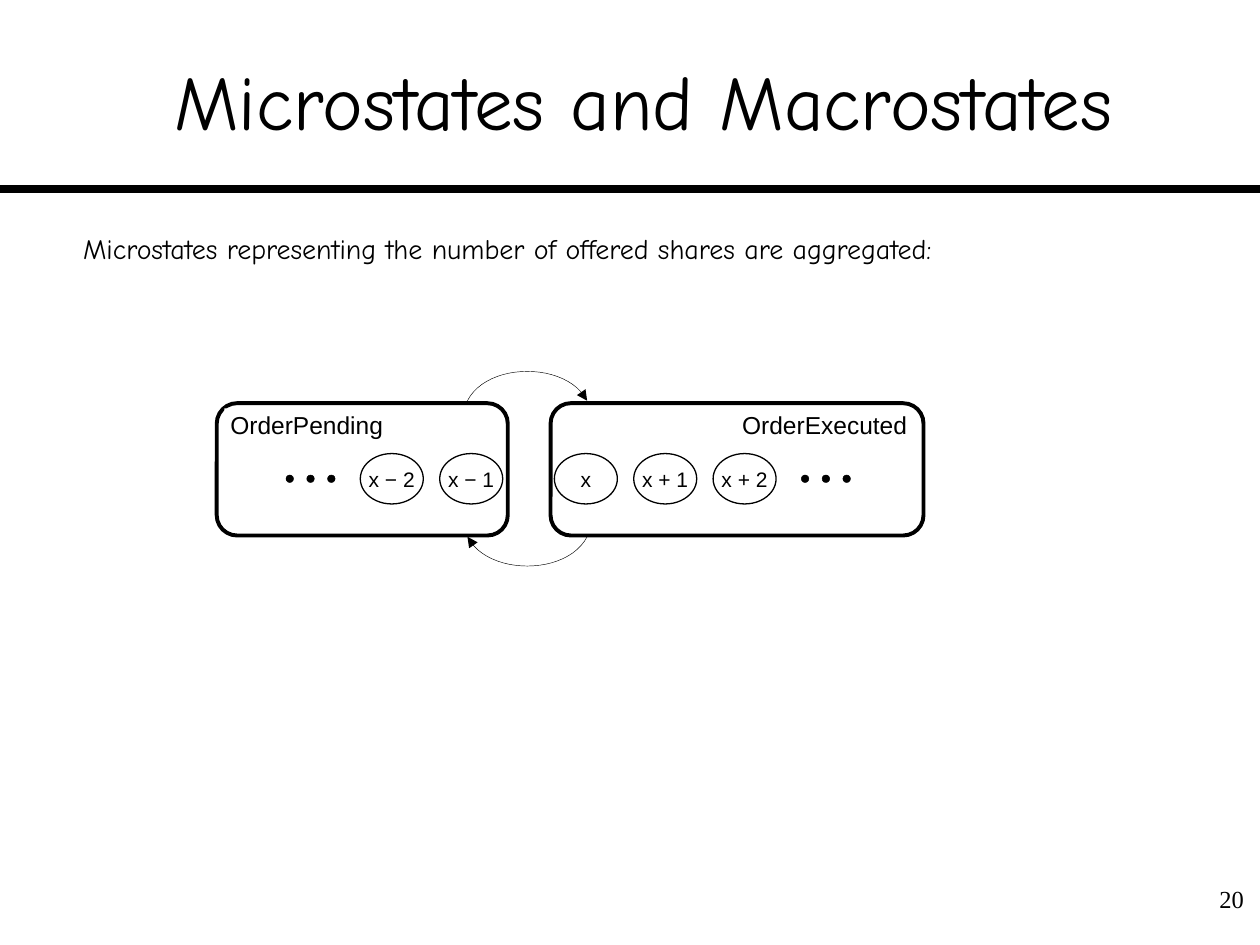
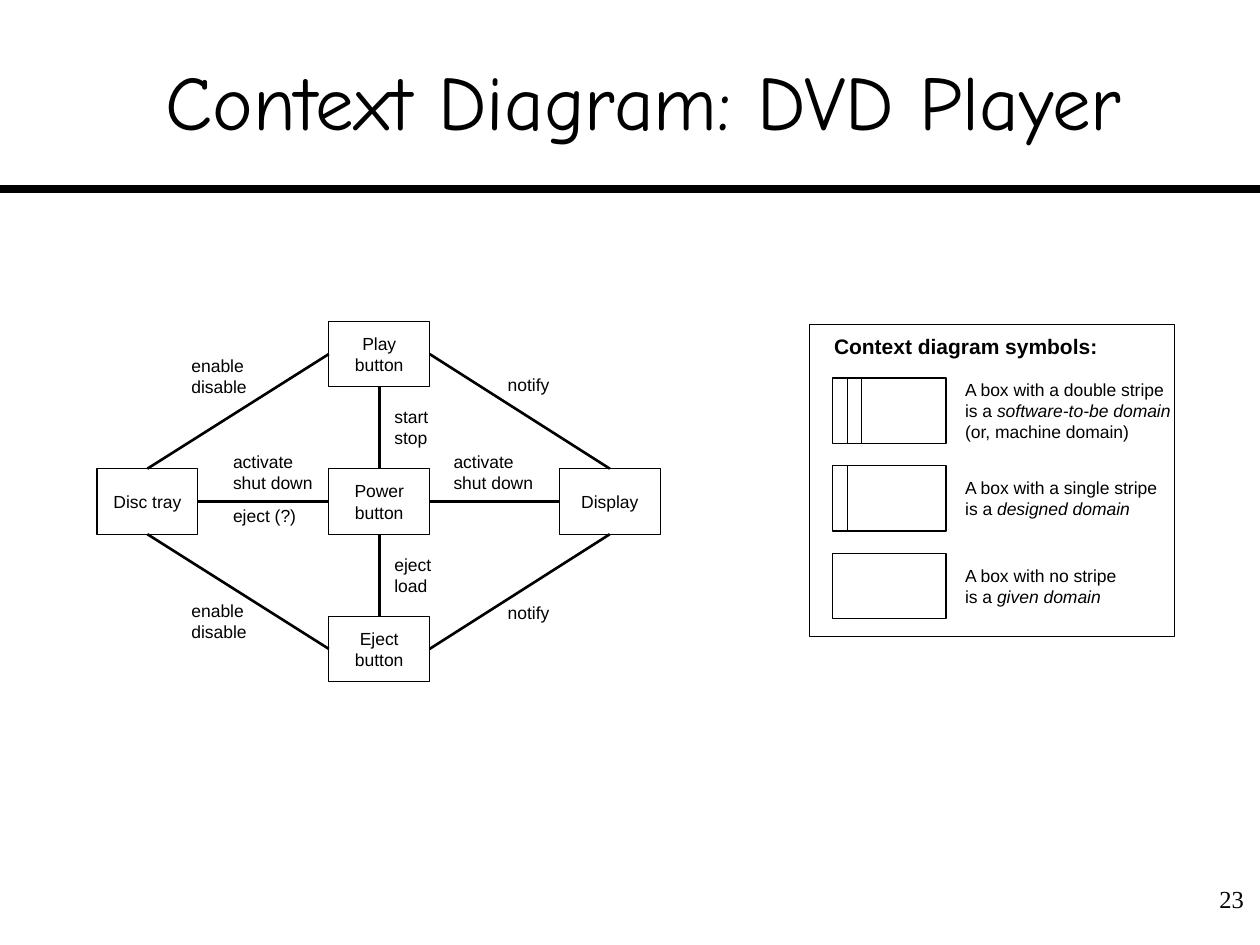
from lxml import etree
from pptx import Presentation
from pptx.dml.color import RGBColor
from pptx.enum.shapes import MSO_CONNECTOR as LINE, MSO_SHAPE as SHAPE
from pptx.enum.text import MSO_ANCHOR as ANCHOR, PP_ALIGN as ALIGN
from pptx.oxml.ns import qn
from pptx.util import Inches, Pt

COLORS = {"ink": "000000", "paper": "FFFFFF"}
TITLE_FONT, DIAGRAM_FONT, NUMBER_FONT = "Comic Neue", "Arial", "Times New Roman"
PADDED, TIGHT, LABEL = (0.1, 0.05), (0.01, 0), (0.05, 0.01)
TOP, LEFT, BOTTOM, RIGHT = range(4)


def color(name):
    return RGBColor.from_string(COLORS[name])


def inches(*lengths):
    return [Inches(length) for length in lengths]


def write(shape, paragraphs, size, font=DIAGRAM_FONT, align=ALIGN.LEFT,
          anchor=ANCHOR.TOP, margins=TIGHT, wrap=False):
    """Each paragraph is a list of (text, style), style being "", "bold" or "italic"."""
    frame = shape.text_frame
    frame.word_wrap = wrap
    frame.vertical_anchor = anchor
    frame.margin_left = frame.margin_right = Inches(margins[0])
    frame.margin_top = frame.margin_bottom = Inches(margins[1])
    for index, runs in enumerate(paragraphs):
        paragraph = frame.add_paragraph() if index else frame.paragraphs[0]
        paragraph.alignment = align
        for text, style in runs:
            run = paragraph.add_run()
            run.text = text
            run.font.name, run.font.size = font, Pt(size)
            run.font.bold, run.font.italic = style == "bold", style == "italic"
            run.font.color.rgb = color("ink")


def plain(*lines):
    return [[(line, "")] for line in lines]


def paint(shape, fill, weight):
    shape.shadow.inherit = False
    if fill:
        shape.fill.solid()
        shape.fill.fore_color.rgb = color(fill)
    else:
        shape.fill.background()
    if weight:
        shape.line.color.rgb = color("ink")
        shape.line.width = Pt(weight)
    else:
        shape.line.fill.background()


def add_outline(slide, kind, box, fill="paper", weight=0.75):
    shape = slide.shapes.add_shape(kind, *inches(*box))
    paint(shape, fill, weight)
    return shape


def add_text(slide, box, paragraphs, size, **options):
    write(slide.shapes.add_textbox(*inches(*box)), paragraphs, size, **options)


def add_line(slide, start, end, weight):
    line = slide.shapes.add_connector(LINE.STRAIGHT, *inches(*start, *end))
    line.line.color.rgb = color("ink")
    line.line.width = Pt(weight)
    etree.SubElement(line._element.spPr, qn("a:effectLst"))
    return line


def add_slide(deck, title, number):
    """Start a slide with the shared title, rule and page number."""
    slide = deck.slides.add_slide(deck.slide_layouts[5])
    add_line(slide, (0, 1.5), (10, 1.5), 4.5)
    heading = slide.shapes.title
    heading.left, heading.top, heading.width, heading.height = inches(0.42, 0.17, 9.38, 1.25)
    write(heading, plain(title), 44, font=TITLE_FONT, align=ALIGN.CENTER,
          anchor=ANCHOR.MIDDLE, margins=(0, 0.05), wrap=True)
    add_text(slide, (9.35, 6.97, 0.62, 0.5), plain(number), 14, font=NUMBER_FONT,
             align=ALIGN.RIGHT, margins=PADDED, wrap=True)
    return slide


# Microstates

def add_transition(slide, controls, steps=24):
    """Draw a cubic curve through its four control points, arrow at the end."""
    points = []
    for step in range(steps + 1):
        t = step / steps
        weights = ((1 - t) ** 3, 3 * t * (1 - t) ** 2, 3 * t ** 2 * (1 - t), t ** 3)
        points.append(inches(*(sum(w * c[axis] for w, c in zip(weights, controls))
                               for axis in (0, 1))))
    builder = slide.shapes.build_freeform(*points[0])
    builder.add_line_segments(points[1:], close=False)
    curve = builder.convert_to_shape()
    paint(curve, None, 0.25)
    etree.SubElement(curve.line._get_or_add_ln(), qn("a:tailEnd"), type="triangle")


def add_macrostate(slide, left, width, first_state, states, first_dot):
    top, height = 3.2, 1.05
    border = add_outline(slide, SHAPE.ROUNDED_RECTANGLE, (left, top, width, height), None, 2.25)
    border.adjustments[0] = 0.154
    for index, name in enumerate(states):
        state = add_outline(slide, SHAPE.OVAL, (first_state + 0.63 * index, 3.6, 0.5, 0.4))
        write(state, plain(name), 12, align=ALIGN.CENTER, anchor=ANCHOR.MIDDLE, margins=PADDED)
    for index in range(3):
        add_outline(slide, SHAPE.OVAL, (first_dot + 0.165 * index, 3.77, 0.06, 0.06), "ink", 0.25)


def add_label(slide, box, text, size, font=DIAGRAM_FONT, align=ALIGN.CENTER):
    label = add_outline(slide, SHAPE.RECTANGLE, box, weight=0)
    write(label, plain(text), size, font=font, align=align, margins=LABEL)


def build_microstates(deck):
    slide = add_slide(deck, "Microstates and Macrostates", "20")
    add_macrostate(slide, 1.72, 2.31, 2.86, ("x − 2", "x − 1"), 2.27)
    add_macrostate(slide, 4.37, 2.96, 4.4, ("x", "x + 1", "x + 2"), 6.36)
    add_label(slide, (1.78, 3.24, 1.31, 0.25), "OrderPending", 14)
    add_label(slide, (5.84, 3.24, 1.41, 0.25), "OrderExecuted", 14)

    # Transitions between the macrostates: over the top and back underneath
    for start, end, base, crest in ((3.71, 4.66, 3.18, 2.87), (4.66, 3.71, 4.26, 4.57)):
        bend = 0.16 if end > start else -0.16
        add_transition(slide, ((start, base), (start + bend, crest),
                               (end - bend, crest), (end, base)))

    add_label(slide, (0.61, 1.83, 6.89, 0.29),
              "Microstates representing the number of offered shares are aggregated:",
              16, font=TITLE_FONT, align=ALIGN.LEFT)


# Context diagram

BOX_HEIGHT = 0.52


def add_domain(slide, left, top, name):
    domain = add_outline(slide, SHAPE.RECTANGLE, (left, top, 0.8, BOX_HEIGHT))
    write(domain, plain(name), 10, align=ALIGN.CENTER, anchor=ANCHOR.MIDDLE,
          margins=PADDED, wrap=True)
    return domain


def link(slide, start, start_side, end, end_side):
    line = add_line(slide, (0, 0), (1, 1), 1.5)
    line.begin_connect(start, start_side)
    line.end_connect(end, end_side)


def add_legend(slide):
    add_outline(slide, SHAPE.RECTANGLE, (6.42, 2.57, 2.9, 2.48), None, 0.25)
    add_text(slide, (6.61, 2.65, 2.4, 0.2), [[("Context diagram symbols:", "bold")]], 12,
             wrap=True)
    entries = (
        (2, 1.66, [[("A box with a double stripe is a ", ""), ("software-to-be domain", "italic")],
                   [("(or, machine domain)", "")]]),
        (1, 1.61, [[("A box with a single stripe is a ", ""), ("designed domain", "italic")]]),
        (0, 1.3, [[("A box with no stripe is a ", ""), ("given domain", "italic")]]),
    )
    left = 6.61
    for row, (stripes, width, meaning) in enumerate(entries):
        top = 3 + 0.695 * row
        add_outline(slide, SHAPE.RECTANGLE, (left, top, 0.9, BOX_HEIGHT))
        for stripe in range(1, stripes + 1):
            x = left + 0.115 * stripe
            add_line(slide, (x, top), (x, top + BOX_HEIGHT), 0.75)
        add_text(slide, (7.65, top, width, BOX_HEIGHT), meaning, 10,
                 anchor=ANCHOR.MIDDLE, wrap=True)


def build_context_diagram(deck):
    slide = add_slide(deck, "Context Diagram: DVD Player", "23")

    # Domains
    power = add_domain(slide, 2.61, 3.72, "Power button")
    play = add_domain(slide, 2.61, 2.55, "Play button")
    eject = add_domain(slide, 2.61, 4.89, "Eject button")
    tray = add_domain(slide, 0.77, 3.72, "Disc tray")
    display = add_domain(slide, 4.44, 3.72, "Display")

    # Shared phenomena
    for ends in ((tray, RIGHT, power, LEFT), (power, RIGHT, display, LEFT),
                 (power, TOP, play, BOTTOM), (power, BOTTOM, eject, TOP),
                 (tray, TOP, play, LEFT), (tray, BOTTOM, eject, LEFT),
                 (display, TOP, play, RIGHT), (eject, RIGHT, display, BOTTOM)):
        link(slide, *ends)
    for left, top, *events in (
            (1.51, 2.82, "enable", "disable"), (1.51, 4.76, "enable", "disable"),
            (1.84, 3.58, "activate", "shut down"), (3.59, 3.58, "activate", "shut down"),
            (1.84, 4.01, "eject (?)"),
            (3.12, 3.22, "start", "stop"), (3.12, 4.4, "eject", "load"),
            (4.02, 2.97, "notify"), (4.02, 4.78, "notify")):
        add_text(slide, (left, top, 0.7, 0.165 * len(events)), plain(*events), 10, wrap=True)

    add_legend(slide)


def main():
    deck = Presentation()
    deck.slide_width, deck.slide_height = inches(10, 7.5)
    build_microstates(deck)
    build_context_diagram(deck)
    deck.save("out.pptx")


if __name__ == "__main__":
    main()
